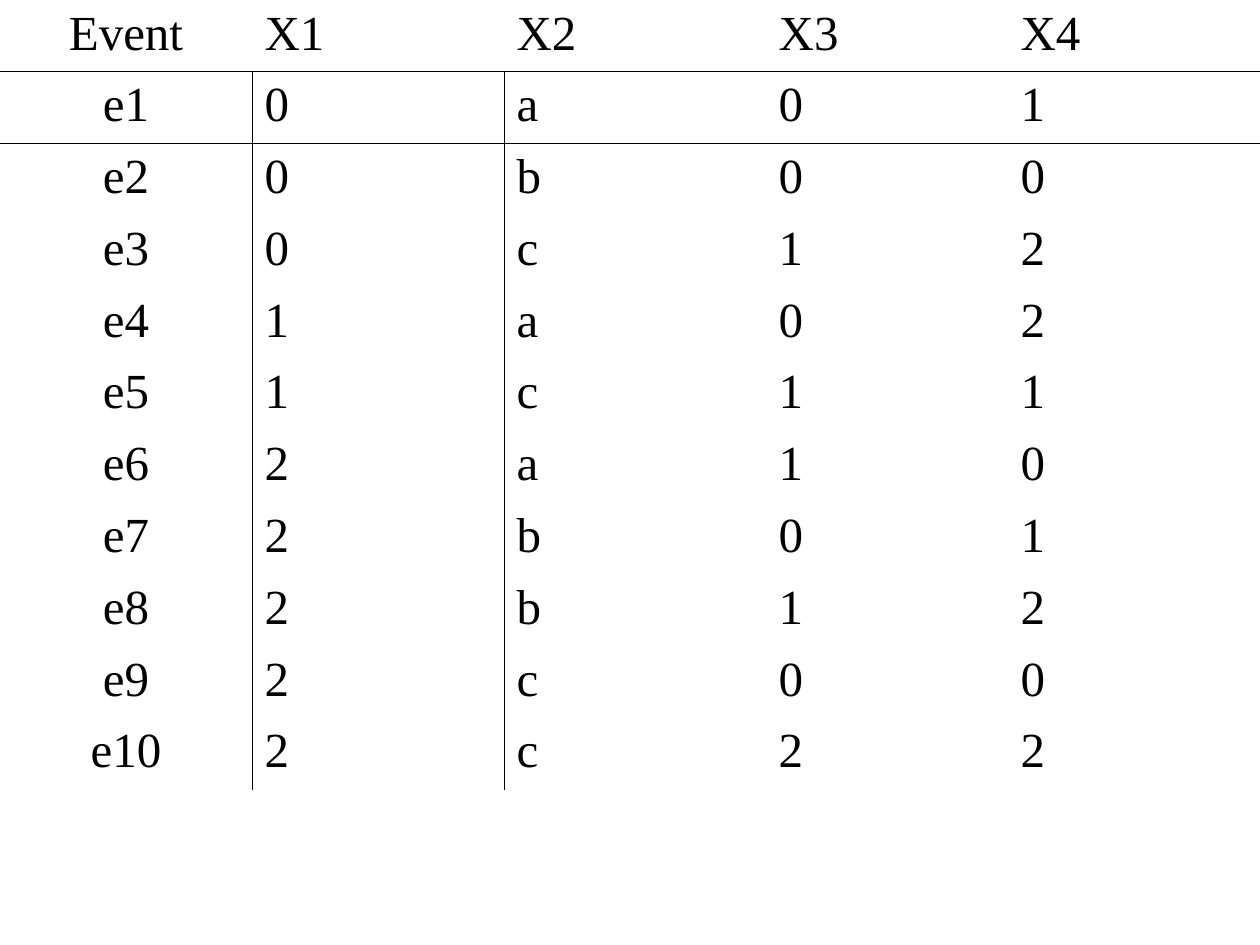
import pptx
import pptx.dml.color
import pptx.enum.text
import pptx.oxml
import pptx.oxml.ns
import pptx.util

BLACK = pptx.dml.color.RGBColor(0, 0, 0)
FONT = {"name": "Times New Roman", "size": pptx.util.Pt(28), "bold": False}
RULE_WIDTH = pptx.util.Pt(0.45)
PLAIN_STYLE = "{2D5ABB26-0587-4C30-8999-92F81FD0307C}"

COLUMNS = [2, 2, 2.08, 1.92, 2]
ROWS = [1] * 11 + [1.98]
ROWS_PER_PAGE = 13.16

HEADINGS = ["Event", "X1", "X2", "X3", "X4"]
EVENTS = ["0a01", "0b00", "0c12", "1a02", "1c11",
          "2a10", "2b01", "2b12", "2c00", "2c22"]


def write_cell(cell, text, centred):
    para = cell.text_frame.paragraphs[0]
    align = pptx.enum.text.PP_ALIGN
    para.alignment = align.CENTER if centred else align.LEFT
    para.space_before = pptx.util.Pt(7)
    span = para.add_run()
    span.text = text
    for name, value in FONT.items():
        setattr(span.font, name, value)
    span.font.color.rgb = BLACK


def rule_cell(cell, sides):
    """Draw a thin line on each side, named in the order L, R, T, B."""
    properties = cell._tc.get_or_add_tcPr()
    for position, side in enumerate(sides):
        line = pptx.oxml.parse_xml(
            f'<a:ln{side} {pptx.oxml.ns.nsdecls("a")} w="{RULE_WIDTH}">'
            f'<a:solidFill><a:srgbClr val="{BLACK}"/></a:solidFill></a:ln{side}>')
        properties.insert(position, line)


def sides_to_rule(row, column):
    """Rule below the headings and to the right of the event names."""
    if row == 0:
        return "B"
    sides = {0: "R", 1: "L"}.get(column, "")
    return sides + "T" if row == 1 else sides


def add_event_table(page, left, top, width, row_height):
    frame = page.shapes.add_table(len(ROWS), len(COLUMNS), left, top,
                                  width, round(row_height * sum(ROWS)))
    table = frame.table
    table.first_row = table.horz_banding = False
    for style in frame.element.iter(pptx.oxml.ns.qn("a:tableStyleId")):
        style.text = PLAIN_STYLE
    for column, share in zip(table.columns, COLUMNS):
        column.width = round(width * share / sum(COLUMNS))
    for row, share in zip(table.rows, ROWS):
        row.height = round(row_height * share)
    for cell in table.iter_cells():
        cell.fill.background()

    records = [HEADINGS] + [[f"e{number}", *values]
                            for number, values in enumerate(EVENTS, 1)]
    for row, record in enumerate(records):
        for column, text in enumerate(record):
            cell = table.cell(row, column)
            write_cell(cell, text, centred=column == 0)
            rule_cell(cell, sides_to_rule(row, column))


def main():
    deck = pptx.Presentation()
    deck.slide_width = pptx.util.Inches(10)
    deck.slide_height = pptx.util.Inches(7.5)
    page = deck.slides.add_slide(deck.slide_layouts[6])
    add_event_table(page, 0, 0, deck.slide_width,
                    deck.slide_height / ROWS_PER_PAGE)
    deck.save("out.pptx")


if __name__ == "__main__":
    main()
